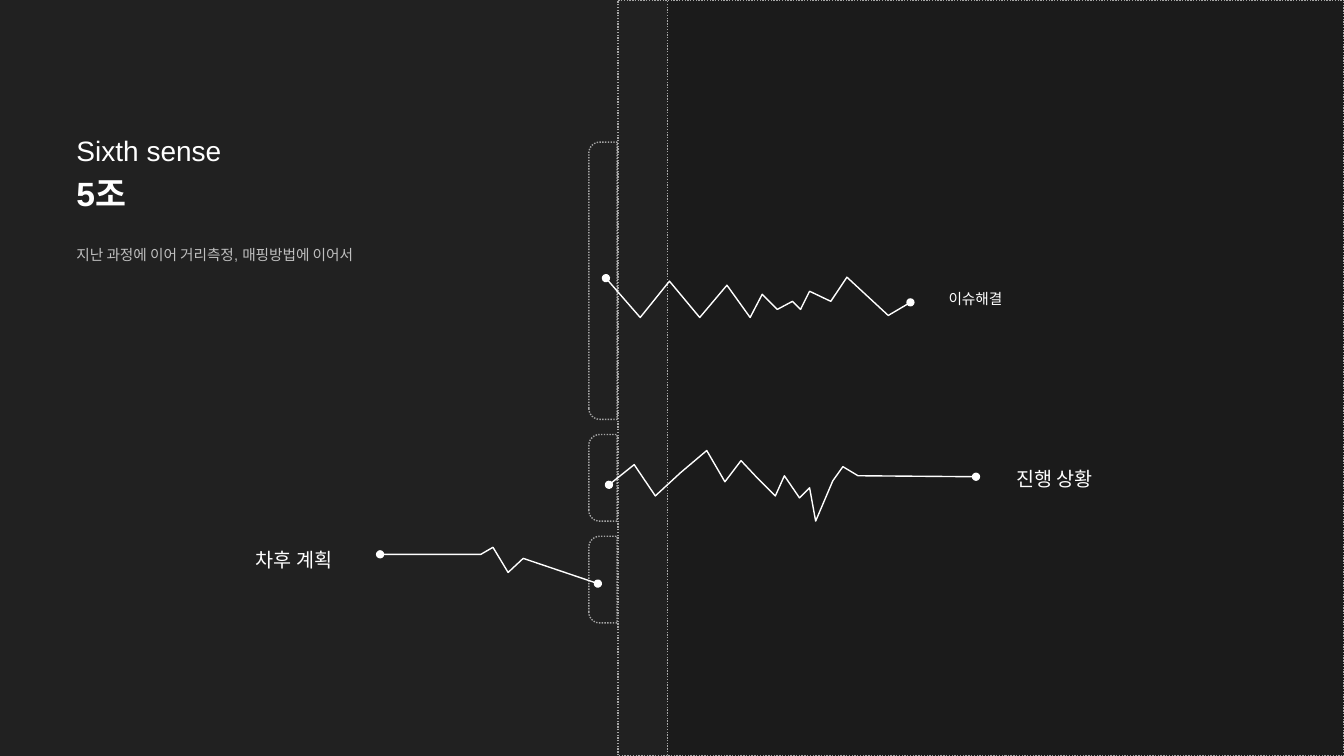
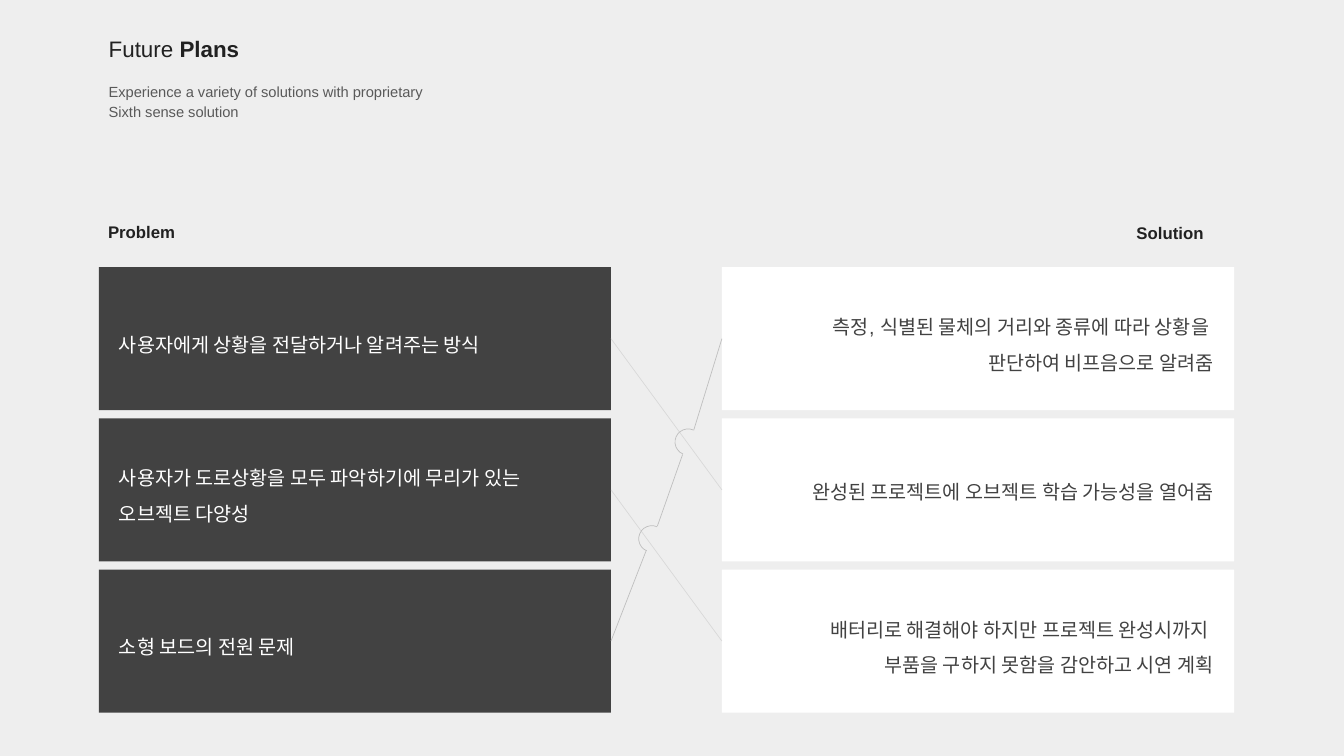
from dataclasses import dataclass

import pptx
import pptx.dml.color
import pptx.enum.dml
import pptx.enum.shapes
import pptx.enum.text
import pptx.oxml
import pptx.oxml.ns
import pptx.util

Inches = pptx.util.Inches
Pt = pptx.util.Pt
SHAPE = pptx.enum.shapes.MSO_SHAPE
ALIGN = pptx.enum.text.PP_ALIGN
DOTTED = pptx.enum.dml.MSO_LINE.ROUND_DOT

FONT = "Arial"
WHITE = "FFFFFF"
INK = "212121"
PANEL = "1B1B1B"
CHARCOAL = "424242"
PAPER = "EEEEEE"
BODY_GRAY = "595959"
DOT_GRAY = "A6A6A6"
SOFT_GRAY = "BFBFBF"
PALE_GRAY = "D9D9D9"

TIGHT, LOOSE = 1.14, 1.5
TOP, LEFT, BOTTOM, RIGHT = range(4)


@dataclass
class Line:
    text: str
    size: float
    color: str
    bold: bool = False
    bold_tail: str = ""
    spacing: float = LOOSE
    before: float = 0
    align: ALIGN = ALIGN.LEFT


def rgb(color):
    return pptx.dml.color.RGBColor.from_string(color)


def add_page(deck, color):
    page = deck.slides.add_slide(deck.slide_layouts[6])
    page.background.fill.solid()
    page.background.fill.fore_color.rgb = rgb(color)
    return page


def style_outline(shape, color, width=1, dash=None):
    shape.line.color.rgb = rgb(color)
    shape.line.width = Pt(width)
    if dash is not None:
        shape.line.dash_style = dash


def write_lines(frame, lines):
    for index, line in enumerate(lines):
        para = frame.paragraphs[0] if index == 0 else frame.add_paragraph()
        para.text = line.text
        para.alignment = line.align
        para.line_spacing = line.spacing
        if line.before:
            para.space_before = Pt(line.before)
        if line.bold_tail:
            para.add_run().text = line.bold_tail
        for span in para.runs:
            span.font.name = FONT
            span.font.size = Pt(line.size)
            span.font.color.rgb = rgb(line.color)
            span.font.bold = line.bold or span.text == line.bold_tail


def add_text(page, left, top, width, height, lines, wrap=True):
    box = page.shapes.add_textbox(*map(Inches, (left, top, width, height)))
    box.text_frame.word_wrap = wrap
    box.text_frame.auto_size = pptx.enum.text.MSO_AUTO_SIZE.SHAPE_TO_FIT_TEXT
    write_lines(box.text_frame, lines)


def add_preset(page, kind, left, top, width, height, fill=None):
    shape = page.shapes.add_shape(kind, *map(Inches, (left, top, width, height)))
    shape.shadow.inherit = False
    if fill:
        shape.fill.solid()
        shape.fill.fore_color.rgb = rgb(fill)
    else:
        shape.fill.background()
    return shape


def add_dotted_panel(page, left, width, fill):
    panel = add_preset(page, SHAPE.RECTANGLE, left, 0, width, 7.5, fill)
    style_outline(panel, DOT_GRAY, dash=DOTTED)


def add_side_tab(page, top, length):
    center_x, depth = 5.98, 0.28
    tab = add_preset(page, SHAPE.ROUND_2_SAME_RECTANGLE, center_x - length / 2,
                     top + (length - depth) / 2, length, depth)
    tab.rotation = 270
    tab.adjustments[0] = 0.385
    tab.adjustments[1] = 0
    style_outline(tab, DOT_GRAY, dash=DOTTED)


def add_zigzag(page, points):
    corners = [(Inches(x), Inches(y)) for x, y in points]
    builder = page.shapes.build_freeform(*corners[0])
    builder.add_line_segments(corners[1:], close=False)
    zigzag = builder.convert_to_shape()
    zigzag.shadow.inherit = False
    zigzag.fill.background()
    style_outline(zigzag, WHITE)
    outline = zigzag.line._get_or_add_ln()
    for end in ("a:headEnd", "a:tailEnd"):
        marker = pptx.oxml.ns.qn(end)
        outline.append(outline.makeelement(marker, {"type": "oval"}))


def add_card(page, left, top, fill, insets, lines):
    card = add_preset(page, SHAPE.RECTANGLE, left, top, 5.08, 1.42, fill)
    card.line.fill.background()
    frame = card.text_frame
    frame.word_wrap = True
    frame.vertical_anchor = pptx.enum.text.MSO_ANCHOR.MIDDLE
    frame.margin_left, frame.margin_right = map(Inches, insets)
    write_lines(frame, lines)
    return card


def add_link(page, color, start=(0, 0), end=(0, 0), from_card=None, to_card=None,
             from_side=RIGHT):
    link = page.shapes.add_connector(pptx.enum.shapes.MSO_CONNECTOR.STRAIGHT,
                                     *map(Inches, (*start, *end)))
    if from_card is not None:
        link.begin_connect(from_card, from_side)
    if to_card is not None:
        link.end_connect(to_card, LEFT)
    style_outline(link, color, 0.5)
    properties = link._element.spPr
    properties.append(properties.makeelement(pptx.oxml.ns.qn("a:effectLst"), {}))


def add_hop(page, left, top):
    hop = add_preset(page, SHAPE.LEFT_BRACKET, left, top, 0.13, 0.26)
    hop.rotation = 23
    hop.adjustments[0] = 1.02
    style_outline(hop, SOFT_GRAY, 0.5)


def build_overview(deck):
    page = add_page(deck, INK)
    add_text(page, 0.66, 1.23, 4.3, 1.46, [
        Line("Sixth sense", 20, WHITE, spacing=TIGHT),
        Line("5조", 24, WHITE, bold=True, spacing=TIGHT),
        Line("지난 과정에 이어 거리측정, 매핑방법에 이어서", 10.5, SOFT_GRAY, before=17),
    ])
    add_dotted_panel(page, 6.13, 7.21, INK)
    top = 1.41
    for length in (2.75, 0.86, 0.86):
        add_side_tab(page, top, length)
        top += length + 0.15
    add_dotted_panel(page, 6.62, 6.71, PANEL)

    topics = [
        ("이슈해결", 10.5, (9.31, 2.74, 0.78, 0.37),
         [(6.01, 2.76), (6.35, 3.15), (6.64, 2.79), (6.94, 3.15), (7.21, 2.83),
          (7.44, 3.15), (7.56, 2.92), (7.71, 3.07), (7.86, 2.99), (7.94, 3.07),
          (8.03, 2.89), (8.24, 2.99), (8.4, 2.75), (8.81, 3.13), (9.03, 3)]),
        ("진행 상황", 14, (9.98, 4.47, 1.03, 0.45),
         [(6.04, 4.81), (6.29, 4.61), (6.5, 4.92), (6.75, 4.69), (7.01, 4.47),
          (7.19, 4.78), (7.35, 4.57), (7.5, 4.73), (7.69, 4.92), (7.78, 4.72),
          (7.93, 4.94), (8.03, 4.84), (8.09, 5.17), (8.26, 4.77), (8.36, 4.63),
          (8.51, 4.72), (9.68, 4.73)]),
        ("차후 계획", 14, (2.44, 5.27, 1.03, 0.45),
         [(3.77, 5.5), (4.77, 5.5), (4.89, 5.43), (5.04, 5.68), (5.19, 5.54),
          (5.93, 5.79)]),
    ]
    for label, size, area, points in topics:
        add_zigzag(page, points)
        add_text(page, *area, [Line(label, size, WHITE)], wrap=False)


def build_plans(deck):
    page = add_page(deck, PAPER)
    add_text(page, 0.98, 0.26, 5.28, 1, [
        Line("Future ", 16, INK, bold_tail="Plans", spacing=TIGHT),
        Line("Experience a variety of solutions with proprietary", 10.5, BODY_GRAY,
             spacing=TIGHT, before=13),
        Line("Sixth sense solution", 10.5, BODY_GRAY, spacing=TIGHT),
    ])
    for heading, left, top in (("Problem", 0.97, 2.05), ("Solution", 11.17, 2.06)):
        add_text(page, left, top, 0.87, 0.4,
                 [Line(heading, 12, INK, bold=True, align=ALIGN.CENTER)], wrap=False)

    rows = [
        (["사용자에게 상황을 전달하거나 알려주는 방식"],
         ["측정, 식별된 물체의 거리와 종류에 따라 상황을 ", "판단하여 비프음으로 알려줌"], LOOSE),
        (["사용자가 도로상황을 모두 파악하기에 무리가 있는", "오브젝트 다양성"],
         ["완성된 프로젝트에 오브젝트 학습 가능성을 열어줌"], TIGHT),
        (["소형 보드의 전원 문제"],
         ["배터리로 해결해야 하지만 프로젝트 완성시까지 ", "부품을 구하지 못함을 감안하고 시연 계획"], LOOSE),
    ]
    problems, solutions = [], []
    for index, (problem, solution, spacing) in enumerate(rows):
        top = 2.65 + 1.5 * index
        problems.append(add_card(page, 0.98, top, CHARCOAL, (0.2, 0.1),
                                 [Line(text, 14, WHITE) for text in problem]))
        solutions.append(add_card(page, 7.16, top, WHITE, (0.1, 0.2),
                                  [Line(text, 14, CHARCOAL, spacing=spacing,
                                        align=ALIGN.RIGHT) for text in solution]))

    for index in range(2):
        add_link(page, PALE_GRAY, from_card=problems[index], to_card=solutions[index + 1])
    add_link(page, SOFT_GRAY, end=(6.41, 5.46), from_card=problems[2])
    add_hop(page, 6.34, 5.19)
    add_link(page, SOFT_GRAY, (6.52, 5.22), (6.77, 4.51))
    add_hop(page, 6.7, 4.23)
    add_link(page, SOFT_GRAY, end=(6.88, 4.27), from_card=solutions[0], from_side=LEFT)


def main():
    deck = pptx.Presentation()
    deck.slide_width = Inches(13.33)
    deck.slide_height = Inches(7.5)
    build_overview(deck)
    build_plans(deck)
    deck.save("out.pptx")


if __name__ == "__main__":
    main()
